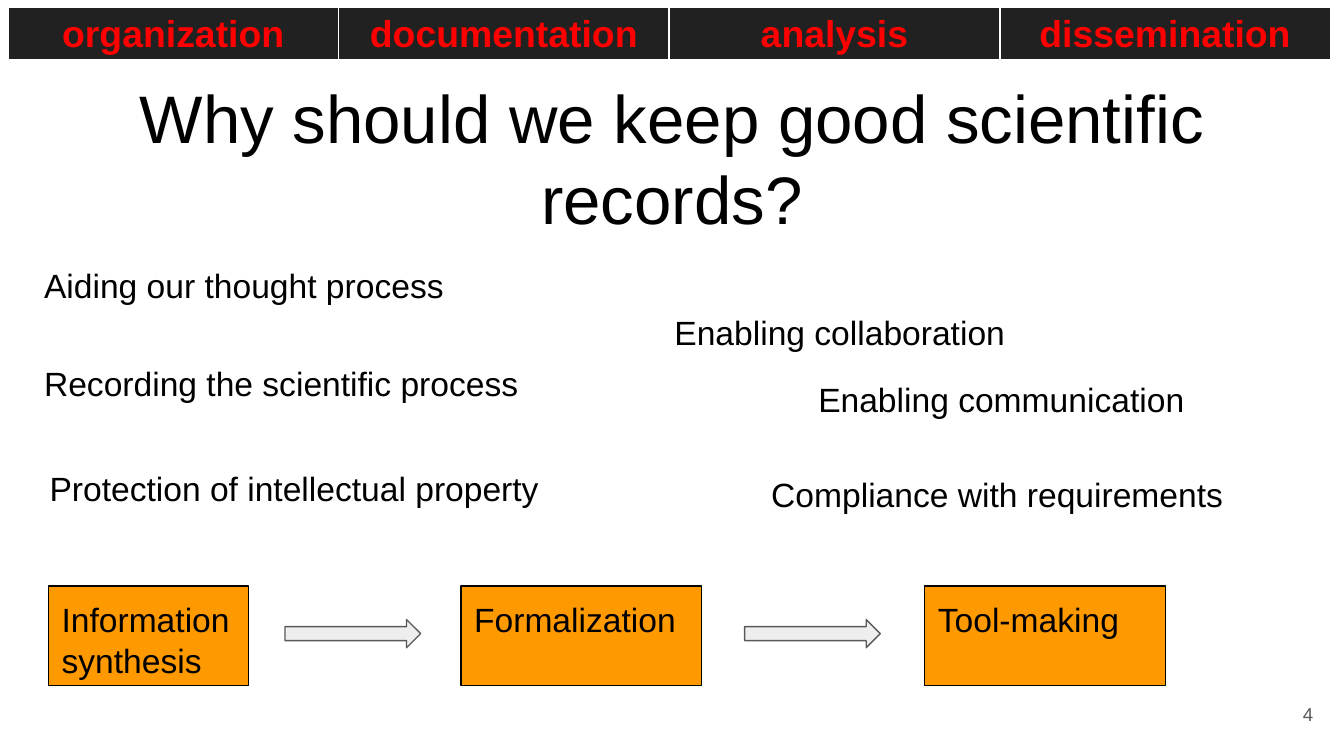
"""Build a slide on the reasons for keeping good scientific records."""
import pptx
import pptx.util
import pptx.oxml
import pptx.dml.color
import pptx.enum.text
import pptx.enum.shapes
from dataclasses import dataclass

Inches = pptx.util.Inches
Pt = pptx.util.Pt
Align = pptx.enum.text.PP_ALIGN
Anchor = pptx.enum.text.MSO_ANCHOR
Kind = pptx.enum.shapes.MSO_SHAPE


@dataclass
class Theme:
    font: str = "Arial"
    ink: str = "000000"
    gray: str = "595959"
    red: str = "FF0000"
    dark: str = "212121"
    white: str = "FFFFFF"
    gold: str = "FF9900"
    pale: str = "EEEEEE"
    head: int = 36
    tab: int = 20
    body: int = 18
    small: int = 10


theme = Theme()


def write(frame, text, size, color, align=Align.LEFT, anchor=Anchor.TOP, pad=0.1, bold=False):
    frame.text = text
    frame.word_wrap = True
    frame.auto_size = pptx.enum.text.MSO_AUTO_SIZE.NONE
    frame.vertical_anchor = anchor
    frame.margin_left = frame.margin_right = Inches(0.1)
    frame.margin_top = frame.margin_bottom = Inches(pad)
    line = frame.paragraphs[0]
    line.alignment = align
    font = line.runs[0].font
    font.name, font.size, font.bold = theme.font, Pt(size), bold
    font.color.rgb = pptx.dml.color.RGBColor.from_string(color)


def draw(kind, left, top, width, height, fill, edge):
    shape = slide.shapes.add_shape(kind, Inches(left), Inches(top), Inches(width), Inches(height))
    shape.shadow.inherit = False
    shape.fill.solid()
    shape.fill.fore_color.rgb = pptx.dml.color.RGBColor.from_string(fill)
    shape.line.color.rgb = pptx.dml.color.RGBColor.from_string(edge)
    shape.line.width = Pt(0.75)
    return shape


deck = pptx.Presentation()
deck.slide_width = Inches(10)
deck.slide_height = deck.slide_width * 9 // 16
slide = deck.slides.add_slide(deck.slide_layouts[5])

title = slide.shapes.title
title.left, title.top = Inches(-0.1), Inches(0.55)
title.width, title.height = Inches(10.2), Inches(1.32)
write(title.text_frame, "Why should we keep good scientific records?",
      theme.head, theme.ink, Align.CENTER, Anchor.BOTTOM)

topics = ["organization", "documentation", "analysis", "dissemination"]
table = slide.shapes.add_table(1, len(topics), Inches(0.06), Inches(0.05),
                               Inches(9.84), Inches(0.41)).table
for col, topic in enumerate(topics):
    table.columns[col].width = Inches(2.46)
    cell = table.cell(0, col)
    write(cell.text_frame, topic, theme.tab, theme.red, Align.CENTER, bold=True)
    cell.vertical_anchor = Anchor.MIDDLE
    cell.margin_left = cell.margin_right = Inches(0.1)
    cell.margin_top = cell.margin_bottom = Inches(0.05)
    props = cell._tc.get_or_add_tcPr()
    for side, width in [("L", 1), ("R", 1), ("T", 1), ("B", 3)]:
        props.append(pptx.oxml.parse_xml(
            f'<a:ln{side} xmlns:a="http://schemas.openxmlformats.org/drawingml/2006/main" '
            f'w="{Pt(width)}"><a:solidFill><a:srgbClr val="{theme.white}"/>'
            f'</a:solidFill></a:ln{side}>'))
    cell.fill.solid()
    cell.fill.fore_color.rgb = pptx.dml.color.RGBColor.from_string(theme.dark)

page = slide.shapes.add_textbox(Inches(9.27), Inches(5.1), Inches(0.6), Inches(0.43))
write(page.text_frame, "4", theme.small, theme.gray, Align.RIGHT, Anchor.MIDDLE)

reasons = [
    ("Aiding our thought process", 0.23, 1.87, 3.36),
    ("Enabling collaboration", 4.92, 2.22, 3.36),
    ("Enabling communication", 5.99, 2.72, 3.36),
    ("Recording the scientific process", 0.23, 2.6, 3.8),
    ("Compliance with requirements", 5.64, 3.43, 3.8),
    ("Protection of intellectual property", 0.27, 3.38, 4.38),
]
for text, left, top, width in reasons:
    box = slide.shapes.add_textbox(Inches(left), Inches(top), Inches(width), Inches(0.43))
    write(box.text_frame, text, theme.body, theme.ink)

steps = [("Information synthesis", 0.36, 1.49), ("Formalization", 3.43, 1.79),
         ("Tool-making", 6.88, 1.79)]
for text, left, width in steps:
    step = draw(Kind.RECTANGLE, left, 4.36, width, 0.74, theme.gold, theme.ink)
    write(step.text_frame, text, theme.body, theme.ink)

for left in (2.12, 5.54):
    draw(Kind.RIGHT_ARROW, left, 4.61, 1.01, 0.21, theme.pale, theme.gray)

deck.save("out.pptx")
